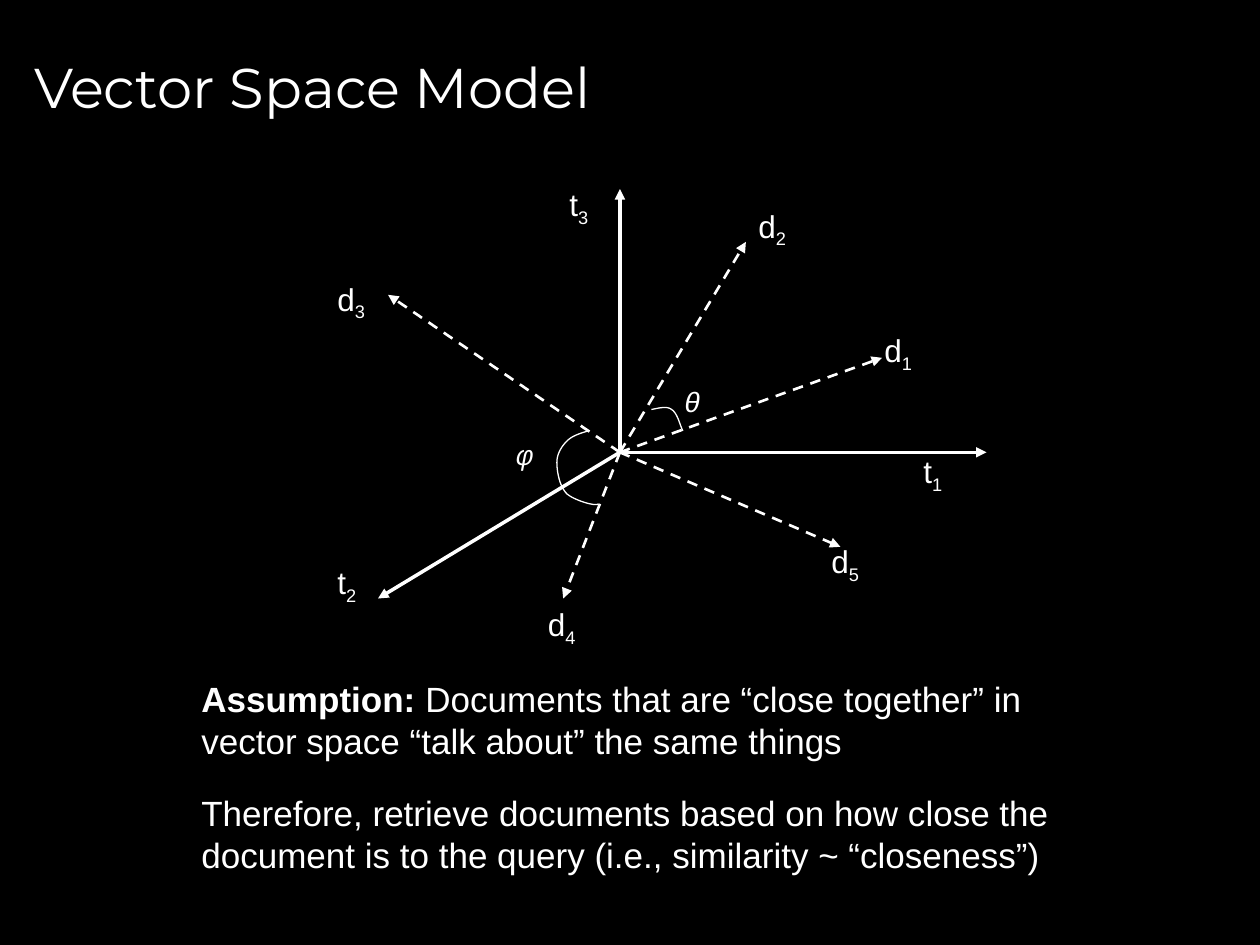
from lxml import etree
from pptx import Presentation
from pptx.dml.color import RGBColor
from pptx.enum.dml import MSO_LINE
from pptx.enum.shapes import MSO_CONNECTOR
from pptx.enum.text import MSO_ANCHOR, MSO_AUTO_SIZE, PP_ALIGN
from pptx.oxml.ns import qn
from pptx.util import Inches, Pt

STRAIGHT = MSO_CONNECTOR.STRAIGHT
DASH = MSO_LINE.DASH
TOP, MIDDLE = MSO_ANCHOR.TOP, MSO_ANCHOR.MIDDLE
LEFT = PP_ALIGN.LEFT
NO_FIT, GROW = MSO_AUTO_SIZE.NONE, MSO_AUTO_SIZE.SHAPE_TO_FIT_TEXT
TITLE_ONLY = 5
COLORS = {"background": "000000", "ink": "FFFFFF"}
INK = RGBColor.from_string(COLORS["ink"])


def write_text(shape, text, bold_start="", subscript="", size=18, font="Arial",
               italic=False, anchor=TOP, wrap=True, fit=GROW):
    """Fill a shape with an optional bold lead, the text and an optional subscript."""
    frame = shape.text_frame
    frame.word_wrap = wrap
    frame.auto_size = fit
    frame.vertical_anchor = anchor
    paragraph = frame.paragraphs[0]
    paragraph.alignment = LEFT
    for part, bold, baseline in ((bold_start, True, None), (text, False, None),
                                 (subscript, False, "-25000")):
        if not part:
            continue
        run = paragraph.add_run()
        run.text = part
        run.font.name = font
        run.font.size = Pt(size)
        run.font.bold = bold
        run.font.italic = italic
        run.font.color.rgb = INK
        if baseline:
            run.font._element.set("baseline", baseline)


def add_curve(shapes, start, segments, steps=12):
    """Draw an open curve through cubic segments, each (control, control, end)."""
    points = []
    first = start
    for control_1, control_2, end in segments:
        for step in range(1, steps + 1):
            t = step / steps
            weights = ((1 - t) ** 3, 3 * t * (1 - t) ** 2, 3 * t * t * (1 - t), t ** 3)
            corners = (first, control_1, control_2, end)
            points.append(tuple(Inches(sum(w * c[axis] for w, c in zip(weights, corners)))
                                for axis in (0, 1)))
        first = end
    builder = shapes.build_freeform(Inches(start[0]), Inches(start[1]))
    builder.add_line_segments(points, close=False)
    curve = builder.convert_to_shape()
    curve.shadow.inherit = False
    curve.fill.background()
    curve.line.color.rgb = INK
    curve.line.width = Pt(0.75)


presentation = Presentation()
presentation.slide_width = Inches(10)
presentation.slide_height = Inches(7.5)
slide = presentation.slides.add_slide(presentation.slide_layouts[TITLE_ONLY])
slide.background.fill.solid()
slide.background.fill.fore_color.rgb = RGBColor.from_string(COLORS["background"])
shapes = slide.shapes

title = shapes.title
title.left, title.top = Inches(0.17), Inches(0.12)
title.width, title.height = Inches(9.5), Inches(1.12)
write_text(title, "Vector Space Model", size=32, font="Montserrat",
           anchor=MIDDLE, fit=NO_FIT)

# Vectors from the origin: letter, index, arrow tip, label corner
ORIGIN = (4.92, 3.59)
vectors = [
    ("t", "1", (7.83, 3.59), (7.23, 3.54)),
    ("t", "3", (4.92, 1.5), (4.42, 1.42)),
    ("t", "2", (3, 4.75), (2.58, 4.42)),
    ("d", "1", (7, 2.84), (6.92, 2.58)),
    ("d", "5", (6.67, 4.34), (6.5, 4.25)),
    ("d", "2", (5.92, 1.92), (5.92, 1.59)),
    ("d", "4", (4.47, 4.75), (4.25, 4.75)),
    ("d", "3", (3.08, 2.34), (2.58, 2.17)),
]
for letter, index, tip, corner in vectors:
    is_axis = letter == "t"
    arrow = shapes.add_connector(STRAIGHT, *map(Inches, ORIGIN + tip))
    arrow.line.color.rgb = INK
    arrow.line.width = Pt(2 if is_axis else 1.5)
    if not is_axis:
        arrow.line.dash_style = DASH
    etree.SubElement(arrow.line._get_or_add_ln(), qn("a:tailEnd"), type="triangle")
    etree.SubElement(arrow._element.spPr, qn("a:effectLst"))

    label = shapes.add_textbox(*map(Inches, corner),
                               Inches(0.36 if is_axis else 0.43), Inches(0.4))
    write_text(label, letter, subscript=index, wrap=False)

# Angles between documents
add_curve(shapes, (5.17, 3.25), [
    ((5.23, 3.24), (5.29, 3.22), (5.33, 3.25)),
    ((5.38, 3.28), (5.4, 3.39), (5.42, 3.42)),
])
add_curve(shapes, (4.67, 3.42), [
    ((4.6, 3.44), (4.54, 3.46), (4.5, 3.5)),
    ((4.46, 3.54), (4.42, 3.6), (4.42, 3.67)),
    ((4.42, 3.74), (4.44, 3.86), (4.5, 3.92)),
    ((4.56, 3.97), (4.72, 4.02), (4.75, 4)),
])
for symbol, left, top in (("θ", 5.33, 3), ("φ", 4, 3.42)):
    angle = shapes.add_textbox(Inches(left), Inches(top), Inches(0.3), Inches(0.37))
    write_text(angle, symbol, size=16, font="Courier New", italic=True)

statements = [
    (5.33, "Assumption: ",
     "Documents that are “close together” in vector space “talk about” the same things"),
    (6.23, "",
     "Therefore, retrieve documents based on how close the document is to the query "
     "(i.e., similarity ~ “closeness”)"),
]
for top, lead, text in statements:
    statement = shapes.add_textbox(Inches(1.5), Inches(top), Inches(7.5), Inches(0.77))
    write_text(statement, text, bold_start=lead, size=20)

presentation.save("out.pptx")
